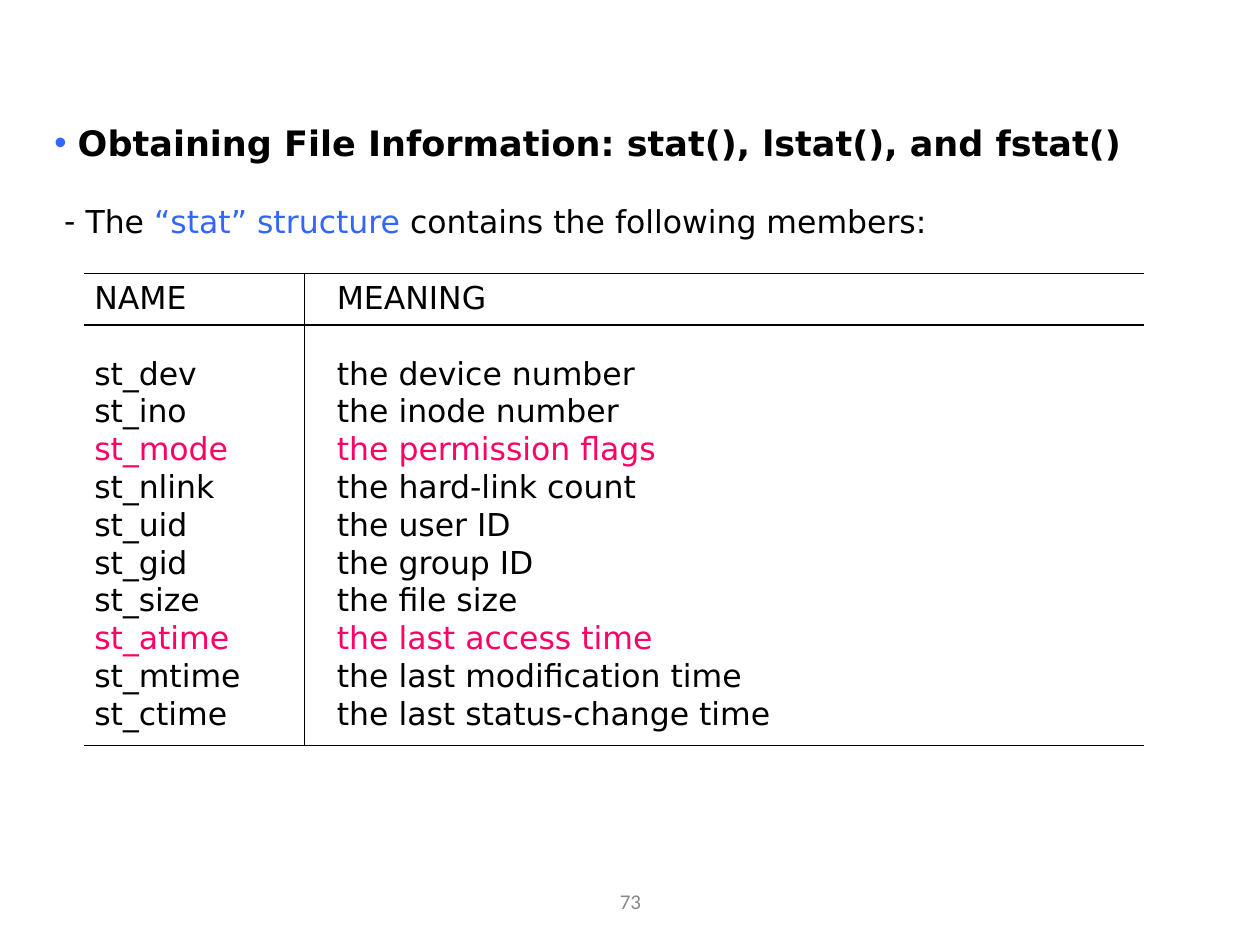
import pptx
import pptx.dml.color
import pptx.enum.shapes
import pptx.enum.text
import pptx.oxml
import pptx.oxml.ns
import pptx.util

Pt = pptx.util.Pt
ALIGN = pptx.enum.text.PP_ALIGN
ANCHOR = pptx.enum.text.MSO_ANCHOR

BLACK, BLUE, PINK, GREY = "000000", "3366FF", "FF0066", "898989"
FONT = "DejaVu Sans"
HEADING = "Obtaining File Information: stat(), lstat(), and fstat()"
LEAD = [("The ", BLACK), ("“stat” structure", BLUE),
        (" contains the following members:", BLACK)]
MEMBERS = [
    ("NAME", "MEANING"),
    ("st_dev", "the device number"),
    ("st_ino", "the inode number"),
    ("st_mode", "the permission flags"),
    ("st_nlink", "the hard-link count"),
    ("st_uid", "the user ID"),
    ("st_gid", "the group ID"),
    ("st_size", "the file size"),
    ("st_atime", "the last access time"),
    ("st_mtime", "the last modification time"),
    ("st_ctime", "the last status-change time"),
]
HIGHLIGHTED = {"st_mode", "st_atime"}
SPACED = {"NAME", "st_dev"}
PAGE = "73"

LEFT, WIDTH = 23.8, 684.7
LINE_HEIGHT = 21.6
COLUMN_STARTS = (23, 161.6)
RULE_LEFT, RULE_RIGHT, DIVIDER_X = 48.2, 653.8, 174.2
RULE_YS = (156.2, 185.8, 426.2)


def rgb(value):
    return pptx.dml.color.RGBColor.from_string(value)


def style(run, size, color, font=FONT, bold=False):
    run.font.size = Pt(size)
    run.font.name = font
    run.font.bold = bold
    run.font.color.rgb = rgb(color)


def element(tag, content="", **attributes):
    values = "".join(f' {name}="{value}"' for name, value in attributes.items())
    return pptx.oxml.parse_xml(
        f"<a:{tag} {pptx.oxml.ns.nsdecls('a')}{values}>{content}</a:{tag}>")


def set_bullet(paragraph, char, color, font, start, hang):
    properties = paragraph._p.get_or_add_pPr()
    properties.set("marL", str(Pt(start + hang)))
    properties.set("indent", str(-Pt(hang)))
    properties.append(element("buClr", f'<a:srgbClr val="{color}"/>'))
    properties.append(element("buFont", typeface=font))
    properties.append(element("buChar", char=char))


def set_tabs(paragraph, stops):
    tabs = "".join(f'<a:tab pos="{Pt(stop)}" algn="l"/>' for stop in stops)
    paragraph._p.get_or_add_pPr().append(element("tabLst", tabs))


def add_heading(slide):
    heading = slide.shapes.title
    heading.left, heading.top, heading.width, heading.height = map(Pt, (LEFT, 65.7, WIDTH, 46))
    frame = heading.text_frame
    frame.text = HEADING
    frame.word_wrap = True
    frame.auto_size = pptx.enum.text.MSO_AUTO_SIZE.NONE
    frame.vertical_anchor = ANCHOR.TOP
    paragraph = frame.paragraphs[0]
    paragraph.alignment = ALIGN.LEFT
    set_bullet(paragraph, "•", BLUE, "Arial", 0, 13.4)
    style(paragraph.runs[0], 20, BLACK, bold=True)


def add_members(slide):
    frame = slide.shapes.add_textbox(*map(Pt, (LEFT, 112.2, WIDTH, 309.6))).text_frame
    frame.word_wrap = True
    lead = frame.paragraphs[0]
    lead.line_spacing = Pt(LINE_HEIGHT)
    set_bullet(lead, "-", BLACK, FONT, 5.7, 12.3)
    for words, color in LEAD:
        run = lead.add_run()
        run.text = words
        style(run, 18, color)
    for name, meaning in MEMBERS:
        member = frame.add_paragraph()
        member.text = f"\t{name}\t{meaning}"
        member.line_spacing = Pt(LINE_HEIGHT)
        member.space_before = Pt(LINE_HEIGHT if name in SPACED else 0)
        set_tabs(member, COLUMN_STARTS)
        for run in member.runs:
            style(run, 18, PINK if name in HIGHLIGHTED else BLACK)


def add_rule(slide, *ends):
    rule = slide.shapes.add_connector(
        pptx.enum.shapes.MSO_CONNECTOR.STRAIGHT, *map(Pt, ends))
    rule.line.color.rgb = rgb(BLACK)
    rule.line.width = Pt(0.75)
    rule._element.spPr.append(element("effectLst"))


def add_page_number(slide):
    frame = slide.shapes.add_textbox(*map(Pt, (246.2, 500.4, 228.2, 28.8))).text_frame
    frame.text = PAGE
    frame.word_wrap = True
    frame.vertical_anchor = ANCHOR.MIDDLE
    frame.paragraphs[0].alignment = ALIGN.CENTER
    style(frame.paragraphs[0].runs[0], 12, GREY, font="Calibri")


def main():
    deck = pptx.Presentation()
    deck.slide_width, deck.slide_height = Pt(720), Pt(540)
    slide = deck.slides.add_slide(deck.slide_layouts.get_by_name("Title Only"))
    add_page_number(slide)
    add_heading(slide)
    add_members(slide)
    for y in RULE_YS:
        add_rule(slide, RULE_LEFT, y, RULE_RIGHT, y)
    add_rule(slide, DIVIDER_X, RULE_YS[0], DIVIDER_X, RULE_YS[-1])
    deck.save("out.pptx")


if __name__ == "__main__":
    main()
